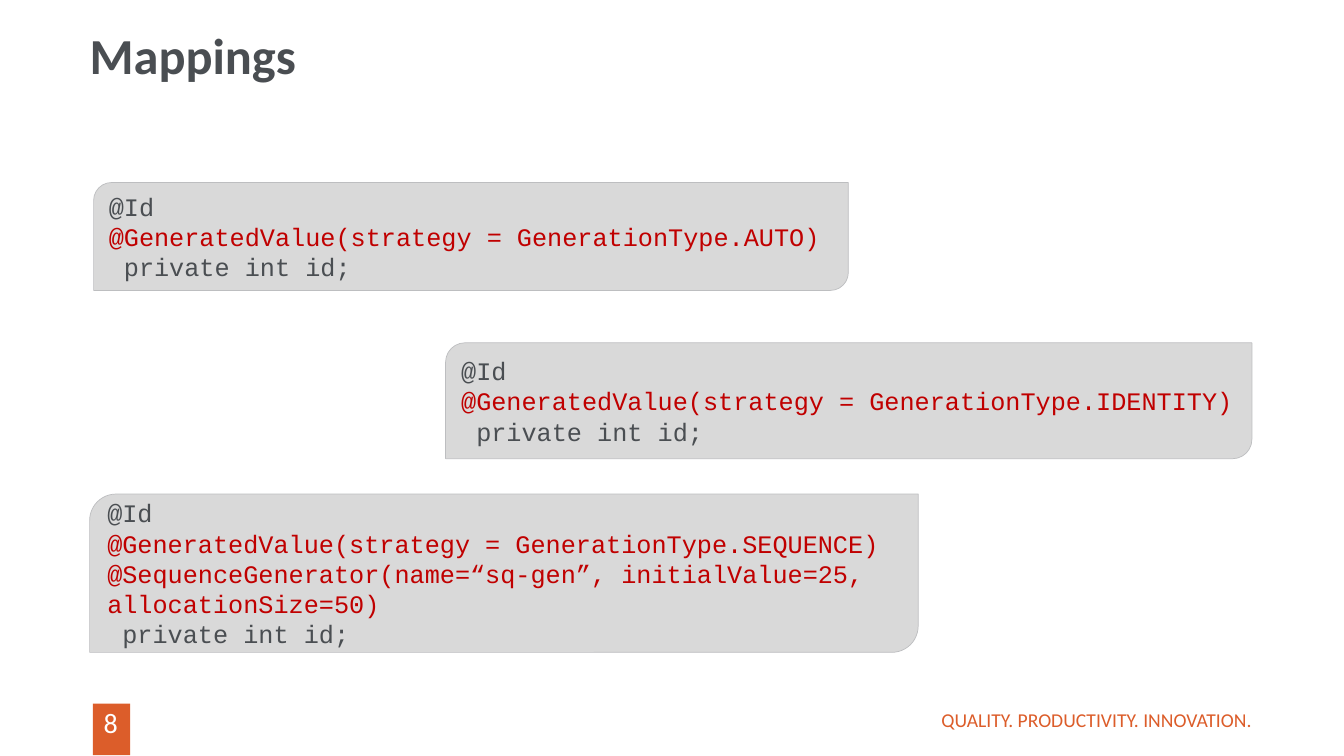
from pptx import Presentation
from pptx.dml.color import RGBColor
from pptx.enum.shapes import MSO_SHAPE
from pptx.enum.text import MSO_ANCHOR, MSO_AUTO_SIZE, PP_ALIGN
from pptx.util import Cm, Pt

RECTANGLE = MSO_SHAPE.RECTANGLE
CODE_SHAPE = MSO_SHAPE.ROUND_2_DIAG_RECTANGLE
TOP, MIDDLE = MSO_ANCHOR.TOP, MSO_ANCHOR.MIDDLE
LEFT, CENTER, RIGHT = PP_ALIGN.LEFT, PP_ALIGN.CENTER, PP_ALIGN.RIGHT
NO_AUTOFIT = MSO_AUTO_SIZE.NONE

TITLE_ONLY = 5
HEADING_FONT, CODE_FONT = "Calibri", "Courier New"

WHITE = RGBColor(0xFF, 0xFF, 0xFF)
ORANGE = RGBColor(0xDC, 0x5D, 0x2A)
DARK_GRAY = RGBColor(0x4A, 0x4E, 0x52)
PANEL_GRAY = RGBColor(0xD9, 0xD9, 0xD9)
BORDER_GRAY = RGBColor(0xBD, 0xBE, 0xC0)
CODE_RED = RGBColor(0xC0, 0x00, 0x00)

# Left, top, width and height in cm, then the highlighted annotations
CODE_PANELS = [
    ((2.36, 4.6, 19.02, 2.72),
     ["@GeneratedValue(strategy = GenerationType.AUTO)"]),
    ((11.23, 8.64, 20.32, 2.92),
     ["@GeneratedValue(strategy = GenerationType.IDENTITY)"]),
    ((2.26, 12.45, 20.88, 3.99),
     ["@GeneratedValue(strategy = GenerationType.SEQUENCE)",
      "@SequenceGenerator(name=“sq-gen”, initialValue=25, allocationSize=50)"]),
]


def to_cm(bounds):
    return [Cm(length) for length in bounds]


def format_paragraph(para, font, size, color, align=LEFT, bold=False):
    para.alignment = align
    for span in para.runs:
        span.font.name = font
        span.font.size = Pt(size)
        span.font.color.rgb = color
        span.font.bold = bold


def add_title(slide, text):
    title = slide.shapes.title
    title.left, title.top, title.width, title.height = to_cm((2.26, 0.66, 24.74, 2.57))
    frame = title.text_frame
    frame.text = text
    frame.auto_size = NO_AUTOFIT
    frame.vertical_anchor = TOP
    frame.margin_left = 0
    para = frame.paragraphs[0]
    para.line_spacing = 0.9
    format_paragraph(para, HEADING_FONT, 36, DARK_GRAY, bold=True)


def add_label(slide, bounds, text, size, color, align, anchor):
    frame = slide.shapes.add_textbox(*to_cm(bounds)).text_frame
    frame.margin_left = frame.margin_right = 0
    frame.margin_top = frame.margin_bottom = 0
    frame.word_wrap = True
    frame.vertical_anchor = anchor
    frame.text = text
    format_paragraph(frame.paragraphs[0], HEADING_FONT, size, color, align)


def add_panel(slide, kind, bounds, fill):
    panel = slide.shapes.add_shape(kind, *to_cm(bounds))
    panel.shadow.inherit = False
    panel.fill.solid()
    panel.fill.fore_color.rgb = fill
    panel.line.fill.background()
    return panel


def add_code_panel(slide, bounds, annotations):
    panel = add_panel(slide, CODE_SHAPE, bounds, PANEL_GRAY)
    panel.line.color.rgb = BORDER_GRAY
    panel.line.width = Pt(0.5)
    frame = panel.text_frame
    frame.word_wrap = True
    frame.vertical_anchor = MIDDLE
    frame.text = "\n".join(["@Id", *annotations, " private int id;"])
    for para in frame.paragraphs:
        color = CODE_RED if para.text in annotations else DARK_GRAY
        format_paragraph(para, CODE_FONT, 18, color)


def main():
    deck = Presentation()
    deck.slide_width, deck.slide_height = Cm(33.87), Cm(19.05)
    slide = deck.slides.add_slide(deck.slide_layouts[TITLE_ONLY])

    # Page number badge
    add_panel(slide, RECTANGLE, (2.34, 17.73, 0.94, 1.3), ORANGE)
    add_label(slide, (2.18, 17.78, 1.22, 0.86), "8", 20, WHITE, CENTER, TOP)

    # Title and footer
    add_title(slide, "Mappings")
    add_label(slide, (21.21, 17.63, 10.34, 1.02),
              "QUALITY. PRODUCTIVITY. INNOVATION.", 14, ORANGE, RIGHT, MIDDLE)

    # Code samples
    for bounds, annotations in CODE_PANELS:
        add_code_panel(slide, bounds, annotations)

    deck.save("out.pptx")


if __name__ == "__main__":
    main()
